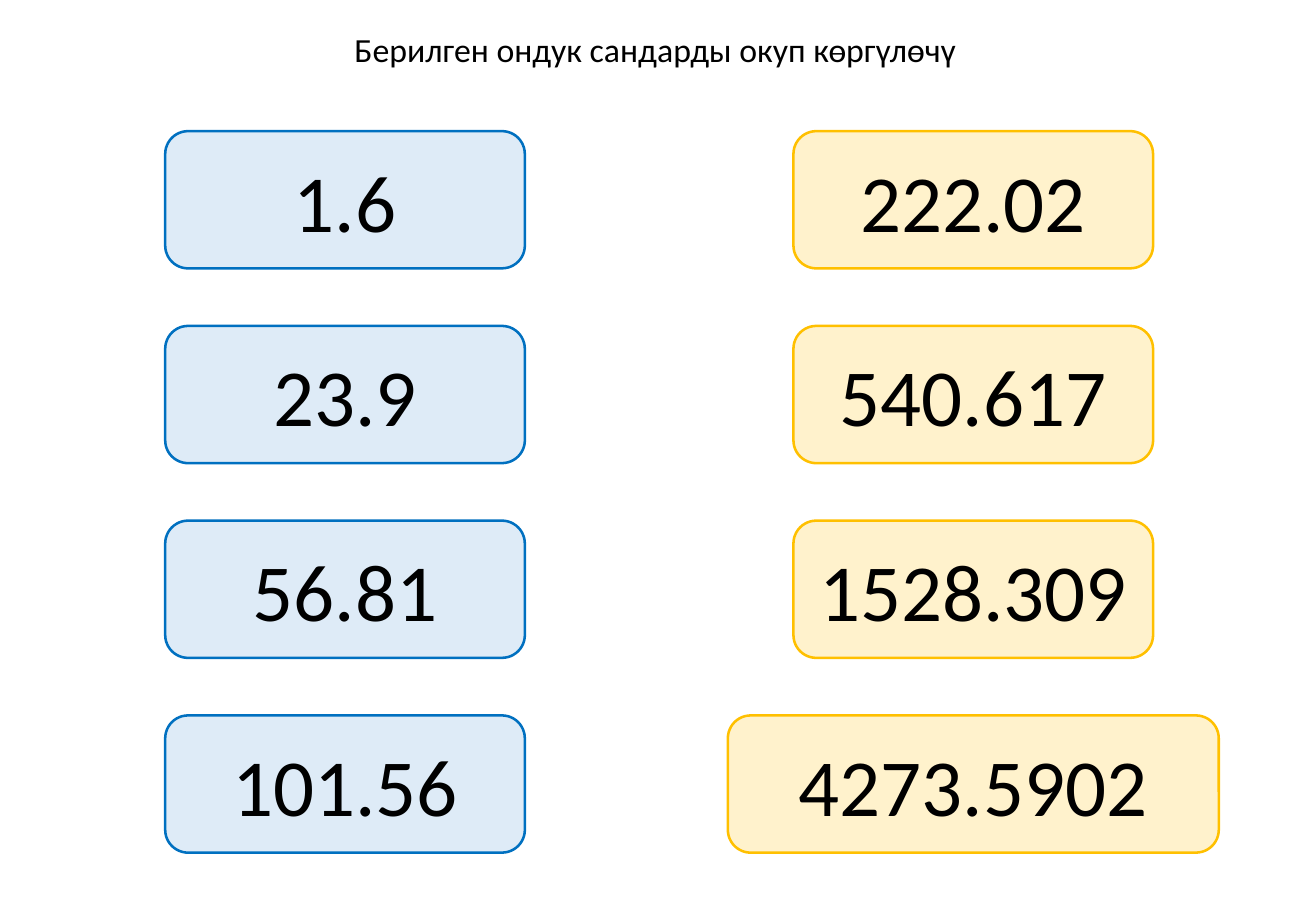
from dataclasses import dataclass

from pptx import Presentation
from pptx import util as u
from pptx.dml.color import RGBColor
from pptx.enum import shapes, text
from pptx.slide import Slide
from pptx.text.text import TextFrame

COLORS = {
    "ink": "000000",
    "blue_fill": "DEEBF7",
    "blue_line": "0070C0",
    "yellow_fill": "FFF2CC",
    "yellow_line": "FFC000",
}
FONT = "Calibri"
HEADING = "Берилген ондук сандарды окуп көргүлөчү "
FIRST_TOP, LAST_TOP = 1.08, 5.89
CARD_HEIGHT = 1.13
CARD_WIDTH, WIDE_CARD_WIDTH = 2.96, 4.04
LONGEST_IN_CARD = 8


@dataclass(frozen=True)
class NumberColumn:
    center: float
    hue: str
    numbers: tuple[str, ...]


COLUMNS = (
    NumberColumn(2.84, "blue", ("1.6", "23.9", "56.81", "101.56")),
    NumberColumn(8.01, "yellow", ("222.02", "540.617", "1528.309", "4273.5902")),
)


def color(name: str) -> RGBColor:
    return RGBColor.from_string(COLORS[name])


def write_centered(frame: TextFrame, words: str, size: int) -> None:
    line = frame.paragraphs[0]
    line.alignment = text.PP_ALIGN.CENTER
    run = line.add_run()
    run.text = words
    run.font.name = FONT
    run.font.size = u.Pt(size)
    run.font.color.rgb = color("ink")


def add_heading(slide: Slide) -> None:
    heading = slide.shapes.add_textbox(
        u.Inches(2.79), u.Inches(0.19), u.Inches(5.27), u.Inches(0.44))
    heading.text_frame.word_wrap = False
    heading.text_frame.auto_size = text.MSO_AUTO_SIZE.SHAPE_TO_FIT_TEXT
    write_centered(heading.text_frame, HEADING, 20)


def add_column(slide: Slide, column: NumberColumn) -> None:
    pitch = (LAST_TOP - FIRST_TOP) / (len(column.numbers) - 1)
    for row, number in enumerate(column.numbers):
        width = WIDE_CARD_WIDTH if len(number) > LONGEST_IN_CARD else CARD_WIDTH
        card = slide.shapes.add_shape(
            shapes.MSO_SHAPE.ROUNDED_RECTANGLE,
            u.Inches(column.center - width / 2), u.Inches(FIRST_TOP + row * pitch),
            u.Inches(width), u.Inches(CARD_HEIGHT))
        card.shadow.inherit = False
        card.fill.solid()
        card.fill.fore_color.rgb = color(f"{column.hue}_fill")
        card.line.color.rgb = color(f"{column.hue}_line")
        card.line.width = u.Pt(1.5)
        card.text_frame.word_wrap = True
        card.text_frame.vertical_anchor = text.MSO_ANCHOR.MIDDLE
        write_centered(card.text_frame, number, 48)


def main() -> None:
    deck = Presentation()
    deck.slide_width = u.Inches(10.83)
    deck.slide_height = u.Inches(7.5)
    slide = deck.slides.add_slide(deck.slide_layouts[6])
    add_heading(slide)
    for column in COLUMNS:
        add_column(slide, column)
    deck.save("out.pptx")


if __name__ == "__main__":
    main()
